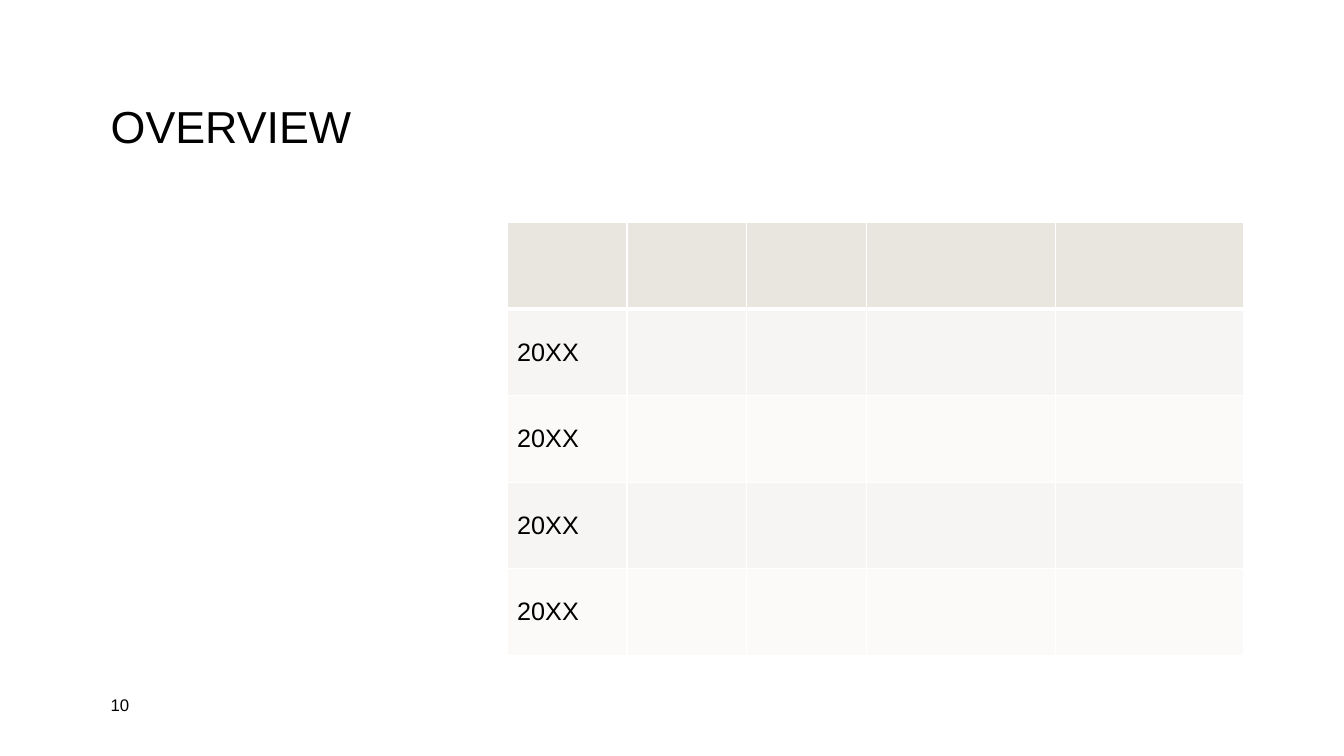
from lxml.etree import SubElement
from pptx import Presentation
from pptx.dml.color import RGBColor
from pptx.enum.text import MSO_ANCHOR
from pptx.oxml.ns import qn
from pptx.util import Cm, Pt

FONT = "Arial"
BLACK = "000000"
WHITE = "FFFFFF"
HEADER_FILL = "E9E6DF"
BAND_FILLS = ("F7F5F3", "FBFAF9")
COLUMN_WIDTHS = (3.02, 3.02, 3.02, 4.75, 4.75)
ROW_HEIGHT = 2.18
YEARS = ("20XX",) * 4


def color(hex_value):
    """Return the colour for a hex string."""
    return RGBColor.from_string(hex_value)


def write_text(text_frame, text, size=18, font_color=BLACK, line_spacing=1.0):
    """Write one formatted paragraph into a text frame."""
    paragraph = text_frame.paragraphs[0]
    paragraph.line_spacing = line_spacing
    run = paragraph.add_run()
    run.text = text
    run.font.name = FONT
    run.font.size = Pt(size)
    run.font.color.rgb = color(font_color)


def add_label(slide, text, left, top, width, height, **text_format):
    """Add a vertically centred text box."""
    shape = slide.shapes.add_textbox(Cm(left), Cm(top), Cm(width), Cm(height))
    shape.text_frame.word_wrap = True
    shape.text_frame.vertical_anchor = MSO_ANCHOR.MIDDLE
    write_text(shape.text_frame, text, **text_format)


def add_border(cell, side, width):
    """Draw a white line on one side of a cell."""
    properties = cell._tc.get_or_add_tcPr()
    line = SubElement(properties, qn(f"a:ln{side}"), w=str(Pt(width)))
    fill = SubElement(line, qn("a:solidFill"))
    SubElement(fill, qn("a:srgbClr"), val=WHITE)


def format_cell(cell, row_index):
    """Set the borders, fill and anchor that belong to a cell's row."""
    widths = {"L": 1, "R": 1, "T": 3 if row_index == 1 else 1, "B": 3 if row_index == 0 else 1}
    for side, width in widths.items():
        add_border(cell, side, width)
    cell.fill.solid()
    fill = BAND_FILLS[(row_index - 1) % 2] if row_index else HEADER_FILL
    cell.fill.fore_color.rgb = color(fill)
    cell.vertical_anchor = MSO_ANCHOR.MIDDLE


def add_year_table(slide, left, top):
    """Add the table with an empty header and one row for each year."""
    row_count = len(YEARS) + 1
    table = slide.shapes.add_table(
        row_count, len(COLUMN_WIDTHS), Cm(left), Cm(top),
        Cm(sum(COLUMN_WIDTHS)), Cm(row_count * ROW_HEIGHT),
    ).table
    for column, width in zip(table.columns, COLUMN_WIDTHS):
        column.width = Cm(width)
    for row_index, row in enumerate(table.rows):
        row.height = Cm(ROW_HEIGHT)
        for cell in row.cells:
            format_cell(cell, row_index)
    for row_index, year in enumerate(YEARS, start=1):
        write_text(table.cell(row_index, 0).text_frame, year)


def main():
    """Build the overview slide and save it."""
    presentation = Presentation()
    presentation.slide_width = Cm(33.87)
    presentation.slide_height = Cm(19.05)
    slide = presentation.slides.add_slide(presentation.slide_layouts[6])
    add_label(slide, "OVERVIEW", 2.54, 1.02, 28.78, 4.45, size=32, line_spacing=0.9)
    add_year_table(slide, 12.78, 5.61)
    add_label(slide, "10", 2.54, 17.35, 1.75, 0.81, size=12)
    presentation.save("out.pptx")


if __name__ == "__main__":
    main()
